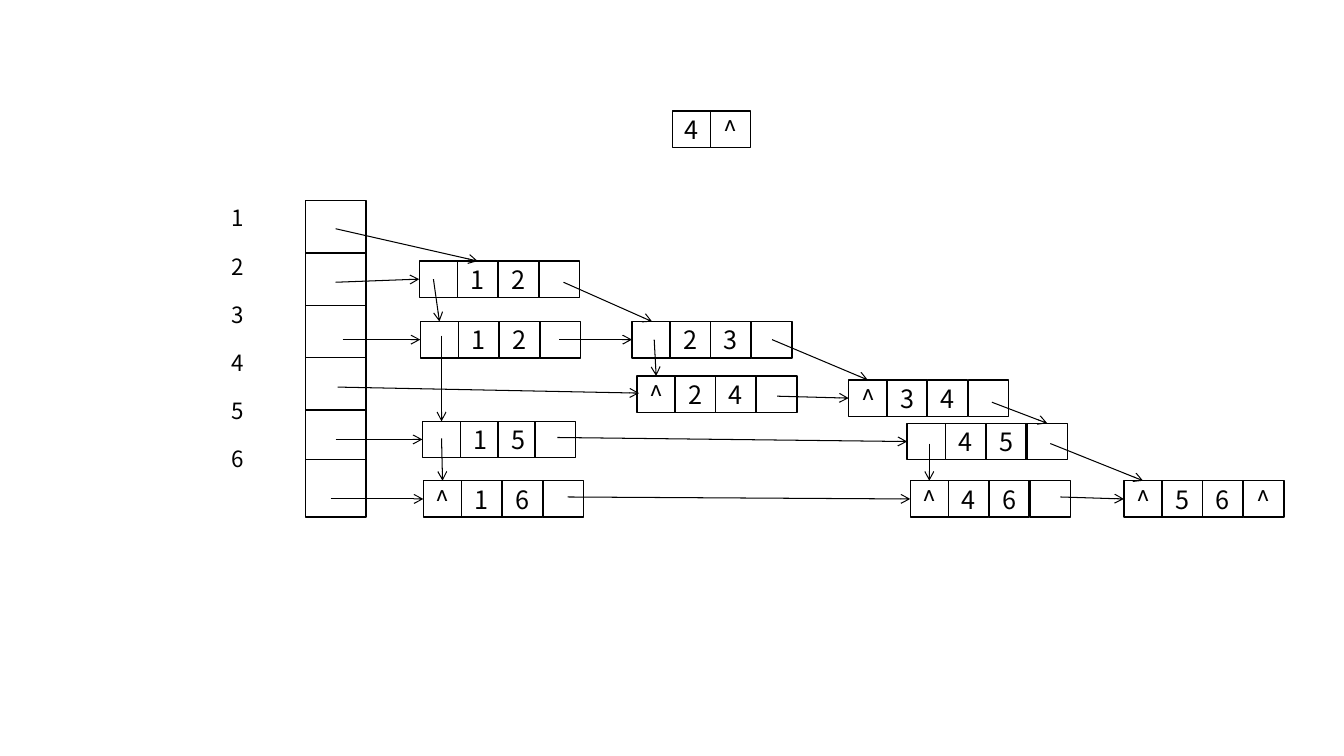
from dataclasses import dataclass
from lxml.etree import SubElement
from pptx import Presentation
from pptx.dml.color import RGBColor
from pptx.enum.shapes import MSO_CONNECTOR, MSO_SHAPE
from pptx.enum.text import MSO_ANCHOR, PP_ALIGN
from pptx.oxml.ns import qn
from pptx.util import Pt


@dataclass(frozen=True)
class Theme:
    ink: RGBColor = RGBColor(0, 0, 0)
    paper: RGBColor = RGBColor(255, 255, 255)
    font: str = "Noto Sans CJK SC"
    cell_size: float = 18
    label_size: float = 16
    cell_line: float = 1
    arrow_line: float = 0.75


THEME = Theme()

# Fields of an edge node: left mark, first vertex, second vertex, right mark
FIELD_OFFSETS = (0, 27.3, 56.2, 85.6)
TIGHT_OFFSETS = (0, 27.3, 54, 80.6)
FIELD_WIDTHS = (28, 28.8, 28.8, 28.8)
FIELD_HEIGHT = 26

HEAD_LEFT, HEAD_WIDTH, HEAD_HEIGHT = 218.2, 43.2, 41
HEAD_TOPS = (143.3, 180.7, 218.2, 255.6, 293, 328.3)

NODES = [  # left, top, fields, offsets
    (480.2, 79.2, ("4", "^"), FIELD_OFFSETS),
    (299.5, 186.5, ("", "1", "2", ""), FIELD_OFFSETS),
    (300.2, 229.7, ("", "1", "2", ""), FIELD_OFFSETS),
    (451.4, 229.7, ("", "2", "3", ""), FIELD_OFFSETS),
    (455, 268.6, ("^", "2", "4", ""), FIELD_OFFSETS),
    (606.2, 271.4, ("^", "3", "4", ""), FIELD_OFFSETS),
    (301.7, 301, ("", "1", "5", ""), TIGHT_OFFSETS),
    (302.4, 343.4, ("^", "1", "6", ""), FIELD_OFFSETS),
    (648, 302.4, ("", "4", "5", ""), FIELD_OFFSETS),
    (650.2, 343.4, ("^", "4", "6", ""), FIELD_OFFSETS),
    (802.8, 343.4, ("^", "5", "6", "^"), FIELD_OFFSETS),
]

HEAD_ARROWS = [  # from x, y, to x, y
    (239.8, 163.4, 341.3, 186.5),
    (239.8, 201.6, 299.5, 199.4),
    (244.8, 242.6, 300.2, 242.6),
    (241.2, 276.5, 456.5, 280.8),
    (239.8, 313.9, 301.7, 313.9),
    (236.2, 356.4, 302.4, 356.4),
]
LEFT_MARK_ARROWS = [
    (309.6, 199.4, 313.9, 229.7),
    (315.4, 239.8, 315.4, 301),
    (315.4, 313.2, 316.1, 343.4),
    (467.3, 242.6, 468.7, 268.6),
    (663.8, 316.8, 663.8, 343.4),
]
RIGHT_MARK_ARROWS = [
    (402.5, 201.6, 465.8, 229.7),
    (399.6, 242.6, 451.4, 242.6),
    (551.5, 242.6, 619.9, 271.4),
    (555.1, 283, 606.2, 284.4),
    (708.5, 287.3, 748.1, 302.4),
    (398.2, 312.5, 648, 315.4),
    (750.2, 316.8, 816.5, 343.4),
    (405.4, 355, 650.2, 356.4),
    (757.4, 355, 802.8, 356.4),
]


def style_runs(p, size):
    for r in p.runs:
        r.font.name = THEME.font
        r.font.size = Pt(size)
        r.font.color.rgb = THEME.ink


def add_cell(s, left, top, width, height, text=""):
    sp = s.shapes.add_shape(
        MSO_SHAPE.RECTANGLE, Pt(left), Pt(top), Pt(width), Pt(height))
    sp.shadow.inherit = False
    sp.fill.solid()
    sp.fill.fore_color.rgb = THEME.paper
    sp.line.color.rgb = THEME.ink
    sp.line.width = Pt(THEME.cell_line)
    if text:
        tf = sp.text_frame
        tf.text = text
        tf.vertical_anchor = MSO_ANCHOR.MIDDLE
        p = tf.paragraphs[0]
        p.alignment = PP_ALIGN.CENTER
        style_runs(p, THEME.cell_size)


def add_node(s, left, top, fields, offsets):
    for text, offset, width in zip(fields, offsets, FIELD_WIDTHS):
        add_cell(s, left + offset, top, width, FIELD_HEIGHT, text)


def add_vertex_labels(s):
    tf = s.shapes.add_textbox(Pt(158.4), Pt(142.6), Pt(23.8), Pt(220.3)).text_frame
    tf.word_wrap = True
    tf.text = "\n".join(str(vertex) for vertex in range(1, 7))
    for i, p in enumerate(tf.paragraphs):
        p.space_before = Pt(15.2 if i else 0)
        style_runs(p, THEME.label_size)


def add_arrow(s, x1, y1, x2, y2):
    arrow = s.shapes.add_connector(
        MSO_CONNECTOR.STRAIGHT, Pt(x1), Pt(y1), Pt(x2), Pt(y2))
    arrow.line.color.rgb = THEME.ink
    arrow.line.width = Pt(THEME.arrow_line)
    SubElement(arrow.line._get_or_add_ln(), qn("a:tailEnd"), type="arrow")
    SubElement(arrow._element.spPr, qn("a:effectLst"))


def main():
    prs = Presentation()
    prs.slide_width, prs.slide_height = Pt(960), Pt(540)
    s = prs.slides.add_slide(prs.slide_layouts[6])
    for top in HEAD_TOPS:
        add_cell(s, HEAD_LEFT, top, HEAD_WIDTH, HEAD_HEIGHT)
    add_vertex_labels(s)
    for node in NODES:
        add_node(s, *node)
    for ends in HEAD_ARROWS + LEFT_MARK_ARROWS + RIGHT_MARK_ARROWS:
        add_arrow(s, *ends)
    prs.save("out.pptx")


if __name__ == "__main__":
    main()
